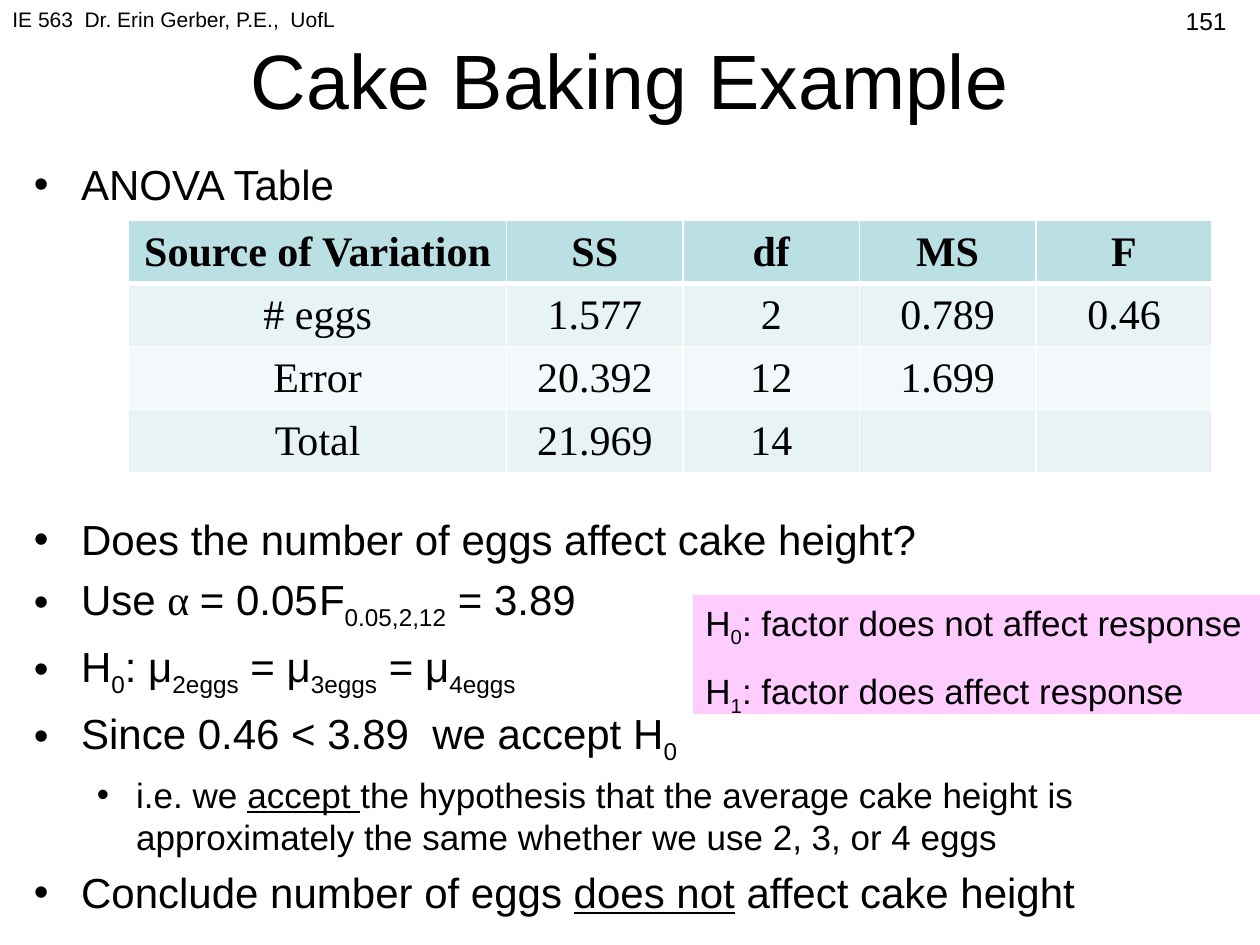
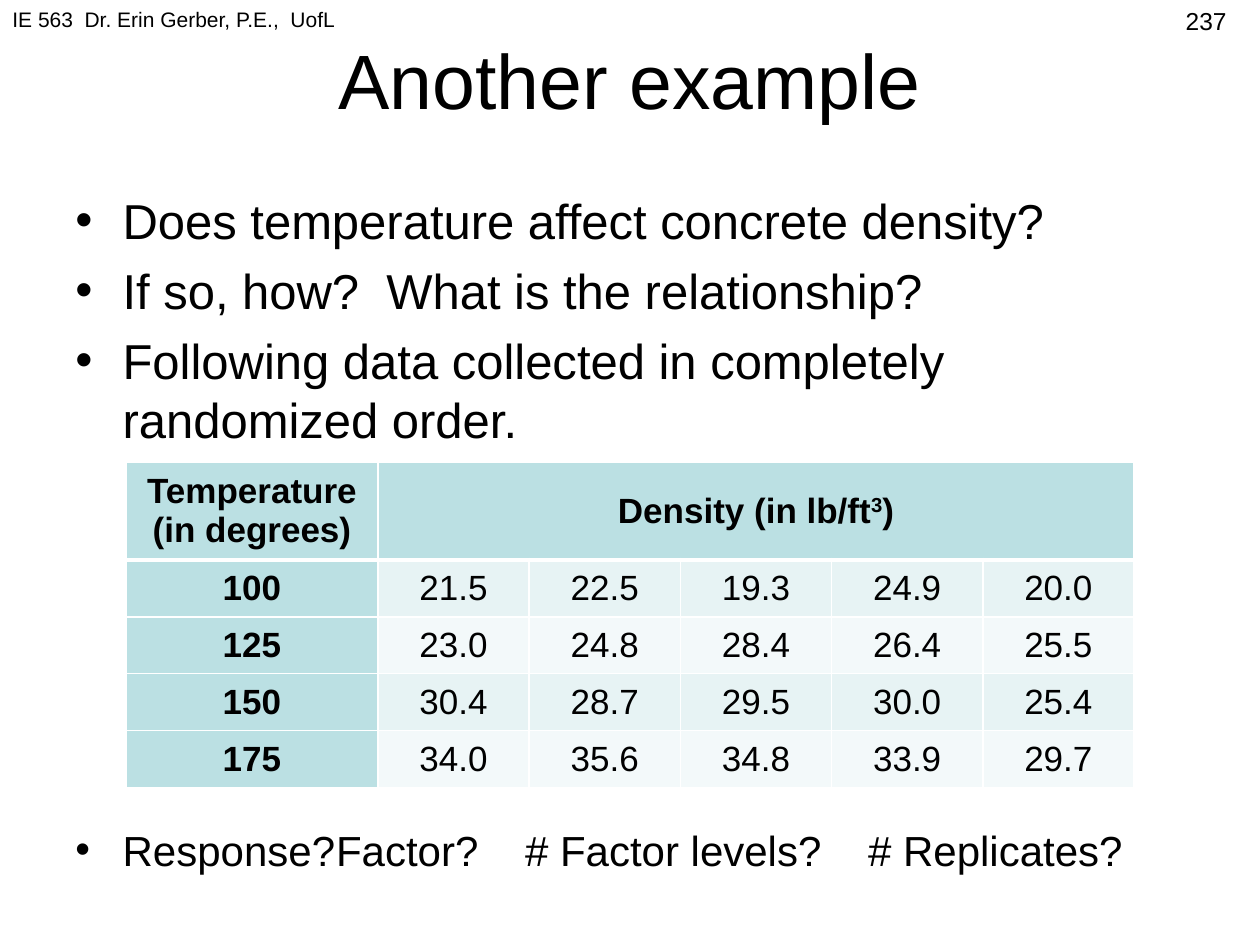
from lxml.etree import SubElement
from pptx import Presentation
from pptx.dml.color import RGBColor
from pptx.enum.shapes import MSO_SHAPE
from pptx.enum.text import MSO_ANCHOR as Anchor, MSO_AUTO_SIZE as AutoSize, PP_ALIGN as Align
from pptx.oxml.ns import qn
from pptx.util import Pt

BLACK, WHITE, PINK = "000000", "FFFFFF", "FFCCFF"
HEADER_FILL, ODD_FILL, EVEN_FILL = "BBE0E3", "E7F3F4", "F3F9FA"
SANS, SERIF = "Arial", "Times New Roman"
COURSE = "IE 563  Dr. Erin Gerber, P.E.,  UofL"

# Run styles that differ from the plain text around them
SUB, SUPER = {"baseline": -25000}, {"baseline": 30000}
UNDERLINED, GREEK = {"underline": True}, {"name": SERIF}

# Bullet levels: left margin and hanging indent
LEVELS = [(27, 27), (58.5, 22.5)]

# A paragraph's runs are plain strings or (text, style) pairs
CAKE = {
    "title": "Cake Baking Example",
    "number": "151",
    "body": (12.25, 84.25, 672, 356.5),
    "bullets": [
        {"runs": ["ANOVA Table"], "size": 24},
        {"runs": ["Does the number of eggs affect cake height?"], "size": 24, "before": 174},
        {"runs": ["Use ", ("α ", GREEK), "= 0.05\tF", ("0.05,2,12", SUB), " = 3.89"],
         "size": 24, "tabs": [163]},
        {"runs": ["H", ("0", SUB), ": μ", ("2eggs", SUB), " = μ", ("3eggs", SUB),
                  " = μ", ("4eggs", SUB)], "size": 24},
        {"runs": ["Since 0.46 < 3.89  we accept H", ("0", SUB)], "size": 24},
        {"runs": ["i.e. we ", ("accept ", UNDERLINED),
                  "the hypothesis that the average cake height is approximately "
                  "the same whether we use 2, 3, or 4 eggs"], "size": 20, "level": 1},
        {"runs": ["Conclude number of eggs ", ("does not", UNDERLINED),
                  " affect cake height"], "size": 24},
    ],
    "table": {
        "at": (73.5, 126), "columns": [216] + [100.8] * 4, "heights": [36] * 4,
        "font": {"name": SERIF, "size": 24}, "bold_first_column": False,
        "rows": [
            ["Source of Variation", "SS", "df", "MS", "F"],
            ["# eggs", "1.577", "2", "0.789", "0.46"],
            ["Error", "20.392", "12", "1.699", ""],
            ["Total", "21.969", "14", "", ""],
        ],
    },
}
HYPOTHESES = [
    ["H", ("0", SUB), ": factor does not affect response"],
    ["H", ("1", SUB), ": factor does affect response"],
]

CONCRETE = {
    "title": "Another example",
    "number": "237",
    "body": (36, 102.25, 648, 356.5),
    "bullets": [
        {"runs": ["Does temperature affect concrete density?"], "size": 28},
        {"runs": ["If so, how?  What is the relationship?"], "size": 28},
        {"runs": ["Following data collected in completely randomized order."], "size": 28},
        {"runs": ["Response?\tFactor?\t# Factor levels?\t# Replicates?"], "size": 24,
         "before": 215, "tabs": [149, 257, 453]},
    ],
    "table": {
        "at": (72, 264), "columns": [144] + [86.4] * 5, "heights": [56] + [32.5] * 4,
        "font": {"name": SANS, "size": 20}, "bold_first_column": True,
        "rows": [
            ["Temperature (in degrees)", ["Density (in lb/ft", ("3", SUPER), ")"]],
            ["100", "21.5", "22.5", "19.3", "24.9", "20.0"],
            ["125", "23.0", "24.8", "28.4", "26.4", "25.5"],
            ["150", "30.4", "28.7", "29.5", "30.0", "25.4"],
            ["175", "34.0", "35.6", "34.8", "33.9", "29.7"],
        ],
    },
}


def color(hex_string):
    return RGBColor.from_string(hex_string)


def add_runs(paragraph, runs, **base):
    """Add runs in the base format, each with its own style on top."""
    for item in runs:
        text, style = (item, {}) if isinstance(item, str) else item
        run = paragraph.add_run()
        run.text = text
        values = {"name": SANS, **base, **style}
        baseline = values.pop("baseline", None)
        values["size"] = Pt(values["size"])
        for attribute, value in values.items():
            setattr(run.font, attribute, value)
        run.font.color.rgb = color(BLACK)
        if baseline:
            run._r.get_or_add_rPr().set("baseline", str(baseline))


def add_text_box(slide, left, top, width, height):
    box = slide.shapes.add_textbox(Pt(left), Pt(top), Pt(width), Pt(height))
    box.text_frame.word_wrap = True
    return box.text_frame


def next_paragraph(frame, index):
    return frame.add_paragraph() if index else frame.paragraphs[0]


def add_bullet(paragraph, level, tabs):
    margin, hanging = LEVELS[level]
    paragraph.level = level
    properties = paragraph._p.get_or_add_pPr()
    properties.set("marL", str(Pt(margin)))
    properties.set("indent", str(-Pt(hanging)))
    SubElement(properties, qn("a:buFont"), typeface=SANS)
    SubElement(properties, qn("a:buChar"), char="•")
    if tabs:
        tab_list = SubElement(properties, qn("a:tabLst"))
        for position in tabs:
            SubElement(tab_list, qn("a:tab"), pos=str(Pt(position)), algn="l")


def add_body(slide, place, bullets):
    frame = add_text_box(slide, *place)
    frame.margin_top = Pt(6.5)
    for index, bullet in enumerate(bullets):
        paragraph = next_paragraph(frame, index)
        add_bullet(paragraph, bullet.get("level", 0), bullet.get("tabs"))
        if index:
            paragraph.space_before = Pt(bullet.get("before", round(bullet["size"] * 0.23, 1)))
        add_runs(paragraph, bullet["runs"], size=bullet["size"])


def add_borders(cell, top, bottom):
    properties = cell._tc.get_or_add_tcPr()
    for side, width in {"lnL": 1, "lnR": 1, "lnT": top, "lnB": bottom}.items():
        line = SubElement(properties, qn(f"a:{side}"), w=str(Pt(width)))
        fill = SubElement(line, qn("a:solidFill"))
        SubElement(fill, qn("a:srgbClr"), val=WHITE)


def add_data_table(slide, data):
    columns, heights, rows = data["columns"], data["heights"], data["rows"]
    left, top = data["at"]
    table = slide.shapes.add_table(len(heights), len(columns), Pt(left), Pt(top),
                                   Pt(sum(columns)), Pt(sum(heights))).table
    for column, width in zip(table.columns, columns):
        column.width = Pt(width)
    for row, height in zip(table.rows, heights):
        row.height = Pt(height)
    for row_index in range(len(heights)):
        for column_index in range(len(columns)):
            cell = table.cell(row_index, column_index)
            heading = row_index == 0 or (data["bold_first_column"] and column_index == 0)
            band = ODD_FILL if row_index % 2 else EVEN_FILL
            add_borders(cell, 3 if row_index == 1 else 1, 3 if row_index == 0 else 1)
            cell.fill.solid()
            cell.fill.fore_color.rgb = color(HEADER_FILL if heading else band)
            cell.vertical_anchor = Anchor.MIDDLE
            if column_index < len(rows[row_index]) and rows[row_index][column_index]:
                content = rows[row_index][column_index]
                paragraph = cell.text_frame.paragraphs[0]
                paragraph.alignment = Align.CENTER
                runs = [content] if isinstance(content, str) else content
                add_runs(paragraph, runs, bold=heading, **data["font"])
    if len(rows[0]) < len(columns):
        table.cell(0, len(rows[0]) - 1).merge(table.cell(0, len(columns) - 1))


def add_hypothesis_box(slide):
    box = slide.shapes.add_shape(MSO_SHAPE.RECTANGLE, Pt(396), Pt(340), Pt(324), Pt(68))
    box.shadow.inherit = False
    box.fill.solid()
    box.fill.fore_color.rgb = color(PINK)
    box.line.fill.background()
    frame = box.text_frame
    frame.word_wrap = True
    frame.vertical_anchor = Anchor.TOP
    for index, runs in enumerate(HYPOTHESES):
        paragraph = next_paragraph(frame, index)
        paragraph.alignment = Align.LEFT
        paragraph.space_after = Pt(12)
        add_runs(paragraph, runs, size=20)


def add_content_slide(presentation, content):
    slide = presentation.slides.add_slide(presentation.slide_layouts[5])
    title = slide.shapes.title
    title.left, title.top, title.width, title.height = Pt(36), Pt(0), Pt(648), Pt(90)
    title.text_frame.vertical_anchor = Anchor.MIDDLE
    title.text_frame.auto_size = AutoSize.NONE
    title.text_frame.paragraphs[0].alignment = Align.CENTER
    add_runs(title.text_frame.paragraphs[0], [content["title"]], size=44)

    course = add_text_box(slide, 0, 0, 300, 37.5)
    add_runs(course.paragraphs[0], [COURSE], size=12)
    number = add_text_box(slide, 540, 0, 168, 37.5)
    number.paragraphs[0].alignment = Align.RIGHT
    add_runs(number.paragraphs[0], [content["number"]], size=14)

    add_body(slide, content["body"], content["bullets"])
    add_data_table(slide, content["table"])
    return slide


def main():
    presentation = Presentation()
    presentation.slide_width, presentation.slide_height = Pt(720), Pt(540)
    add_hypothesis_box(add_content_slide(presentation, CAKE))
    add_content_slide(presentation, CONCRETE)
    presentation.save("out.pptx")


if __name__ == "__main__":
    main()
